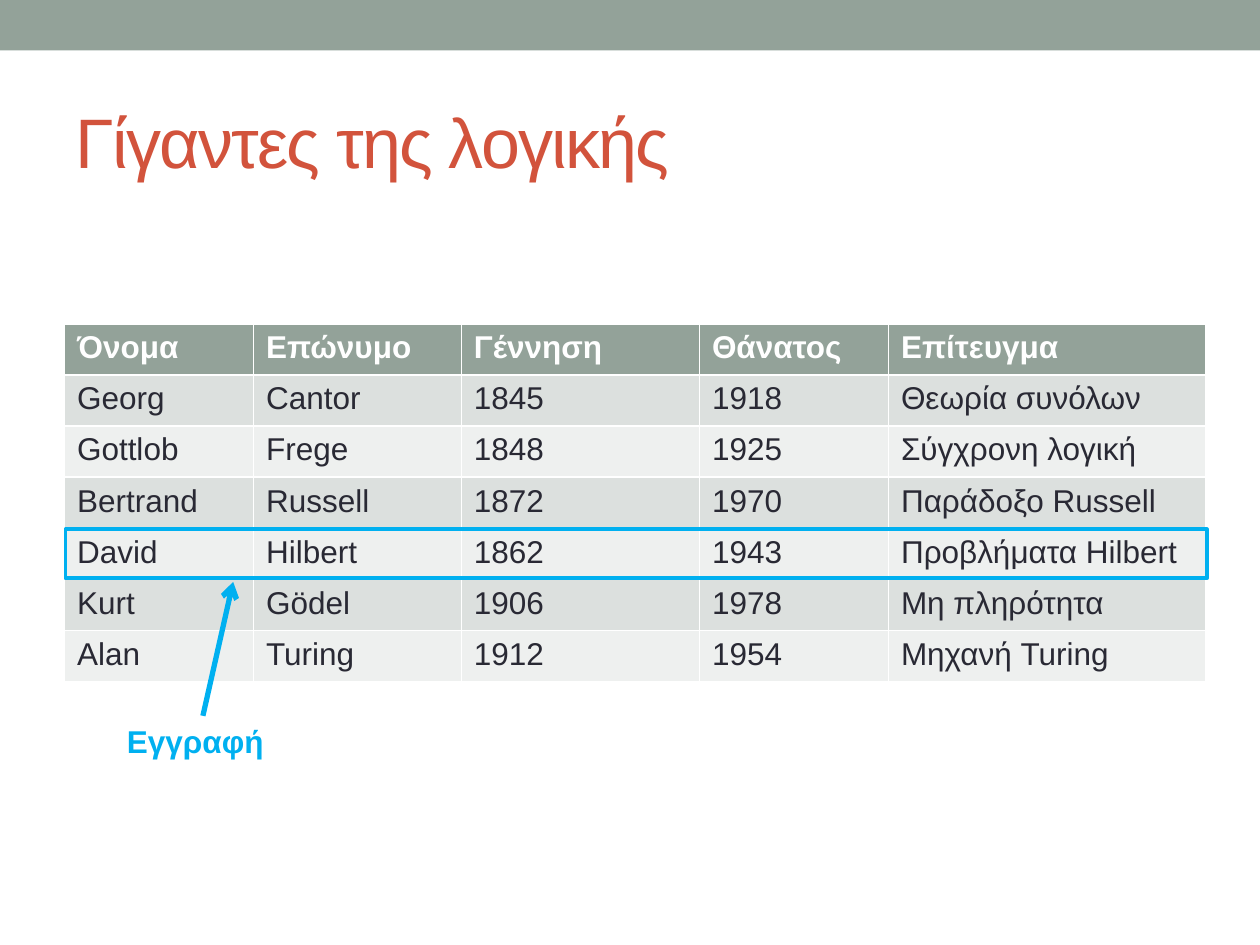
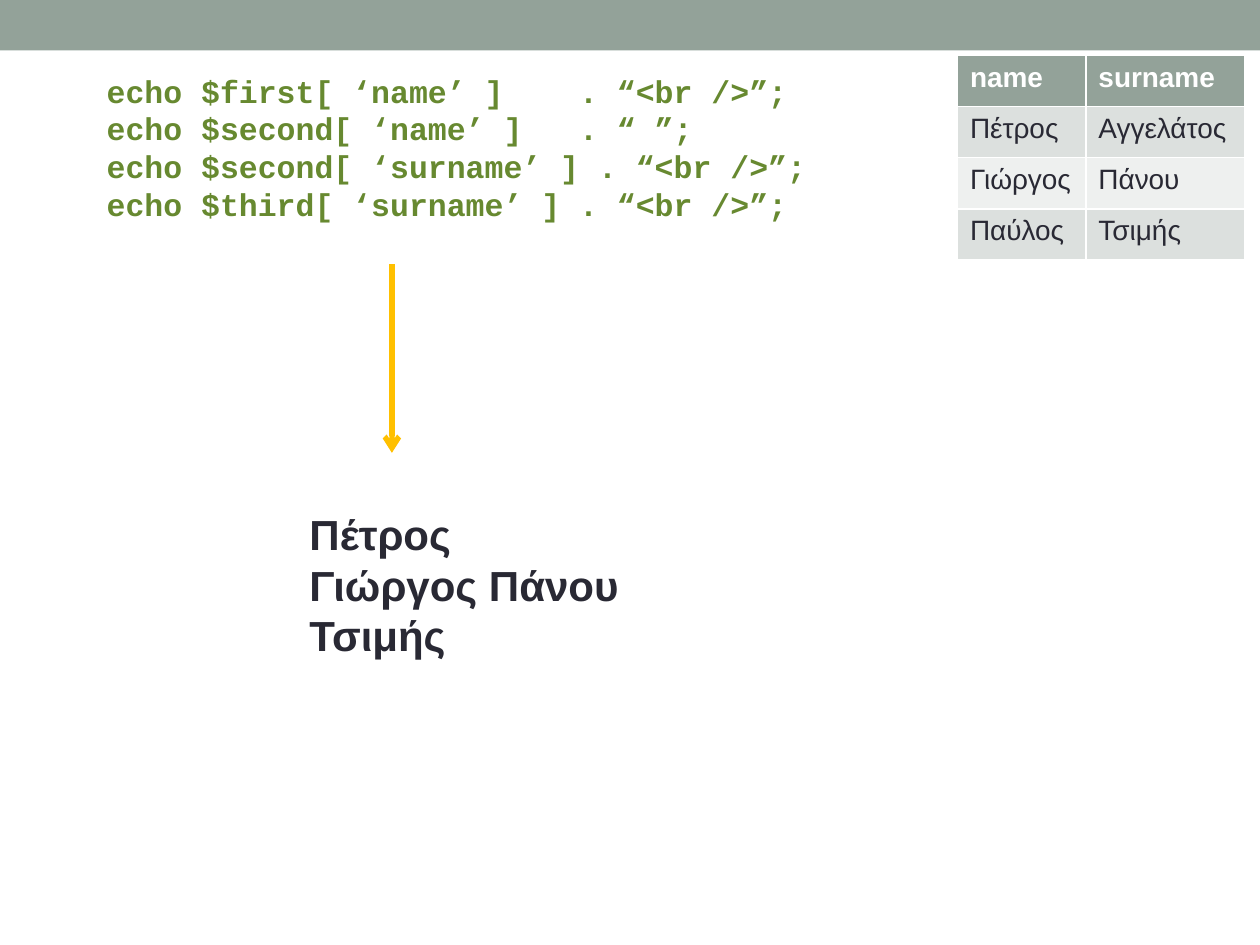
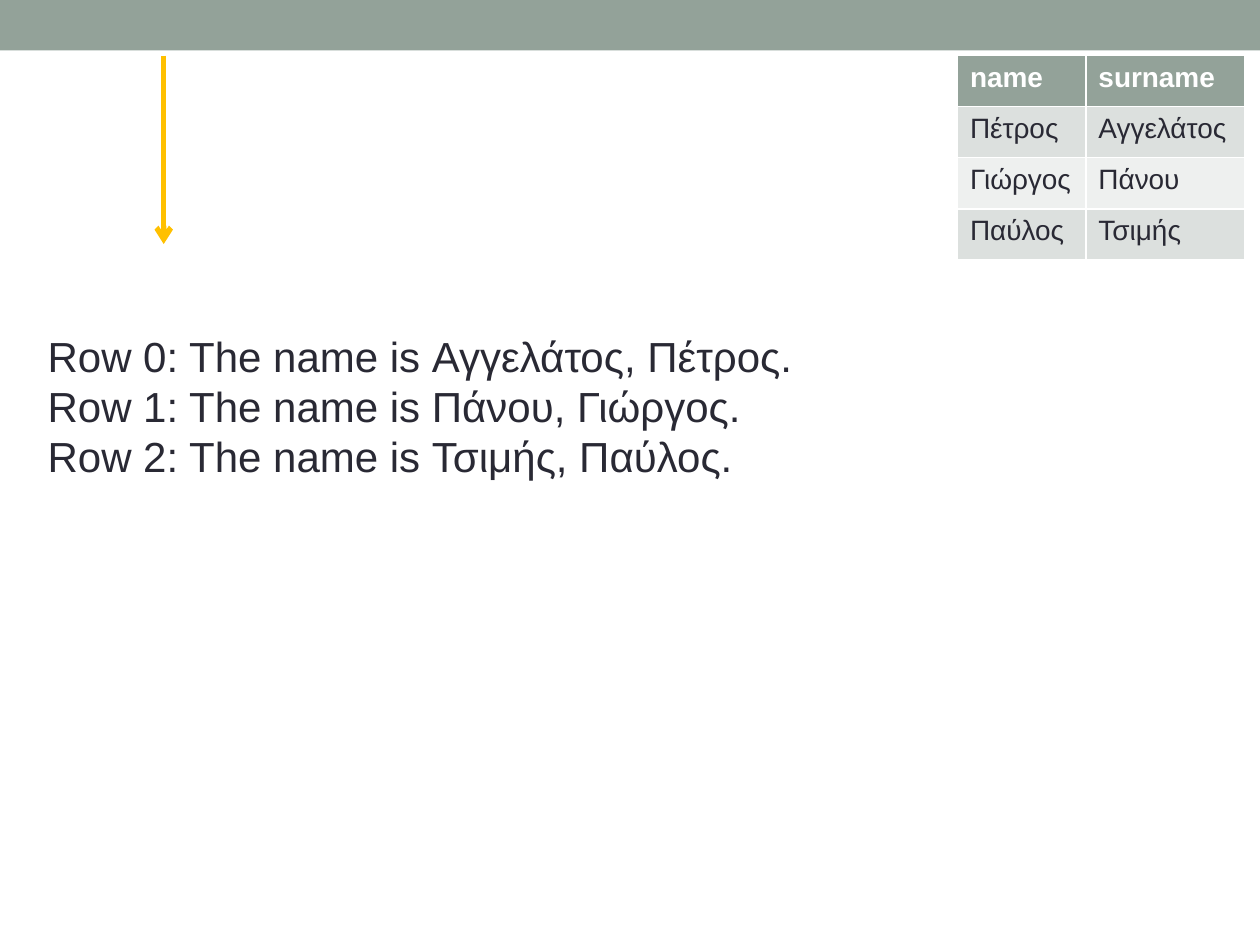
from dataclasses import dataclass

from lxml import etree
from pptx import Presentation
from pptx import util as u
from pptx.dml.color import RGBColor
from pptx.enum import shapes, text
from pptx.oxml import ns

Cm, Pt = u.Cm, u.Pt


@dataclass(frozen=True)
class Theme:
    band: str = "93A299"
    odd_row: str = "DCE0DE"
    even_row: str = "EEF0EF"
    paper: str = "FFFFFF"
    ink: str = "292934"
    heading: str = "D2533C"
    record: str = "00B0F0"
    flow: str = "FFC000"
    code: str = "678930"
    sans: str = "Arial"
    mono: str = "Courier New"
    title_size: int = 40
    output_size: int = 24
    text_size: int = 18
    small_size: int = 16
    title_spacing: int = -100
    arrow_width: float = 3
    frame_width: float = 2.08


THEME = Theme()
ROW_HEIGHT = 1.03
BAND_HEIGHT = 1.02
STUDENTS_CORNER = (19.3, 1.12)

LOGICIANS = [
    ("Όνομα", "Επώνυμο", "Γέννηση", "Θάνατος", "Επίτευγμα"),
    ("Georg", "Cantor", "1845", "1918", "Θεωρία συνόλων"),
    ("Gottlob", "Frege", "1848", "1925", "Σύγχρονη λογική"),
    ("Bertrand", "Russell", "1872", "1970", "Παράδοξο Russell"),
    ("David", "Hilbert", "1862", "1943", "Προβλήματα Hilbert"),
    ("Kurt", "Gödel", "1906", "1978", "Μη πληρότητα"),
    ("Alan", "Turing", "1912", "1954", "Μηχανή Turing"),
]
STUDENTS = [
    ("name", "surname"),
    ("Πέτρος", "Αγγελάτος"),
    ("Γιώργος", "Πάνου"),
    ("Παύλος", "Τσιμής"),
]
ECHO_CODE = [
    "echo $first[ ‘name’ ]    . “<br />”;",
    "echo $second[ ‘name’ ]   . “ ”;",
    "echo $second[ ‘surname’ ] . “<br />”;",
    "echo $third[ ‘surname’ ] . “<br />”;",
]
ECHO_OUTPUT = ["Πέτρος", "Γιώργος Πάνου", "Τσιμής"]
ROW_OUTPUT = [
    f"Row {index}: The name is {surname}, {name}."
    for index, (name, surname) in enumerate(STUDENTS[1:])
]


def rgb(value):
    return RGBColor.from_string(value)


def style(paragraph, size, color, bold=False, face=THEME.sans):
    font = paragraph.font
    font.size, font.bold, font.name = Pt(size), bold, face
    font.color.rgb = rgb(color)


def place(part, left, top, width, height):
    part.left, part.top = Cm(left), Cm(top)
    part.width, part.height = Cm(width), Cm(height)


def add_band(prs, slide):
    band = slide.shapes.add_shape(
        shapes.MSO_SHAPE.RECTANGLE, 0, 0, prs.slide_width, Cm(BAND_HEIGHT))
    band.shadow.inherit = False
    band.fill.solid()
    band.fill.fore_color.rgb = rgb(THEME.band)
    band.line.fill.background()
    band.element.nvSpPr.cNvPr.set("id", "20")
    prs.slide_master.element.cSld.spTree.insert(2, band.element)


def add_title(slide, box, wording):
    title = slide.shapes.title
    place(title, *box)
    frame = title.text_frame
    frame.text = wording
    frame.vertical_anchor = text.MSO_ANCHOR.MIDDLE
    heading = frame.paragraphs[0]
    heading.alignment = text.PP_ALIGN.LEFT
    style(heading, THEME.title_size, THEME.heading)
    letters = heading.runs[0]._r.get_or_add_rPr()
    letters.set("spc", str(THEME.title_spacing))


def add_lines(slide, box, lines, size, color, bold=False, face=THEME.sans):
    left, top, width, height = box
    frame = slide.shapes.add_textbox(
        Cm(left), Cm(top), Cm(width), Cm(height)).text_frame
    frame.word_wrap = True
    frame.text = "\n".join(lines)
    for paragraph in frame.paragraphs:
        style(paragraph, size, color, bold, face)


def add_arrow(slide, start, end, color):
    arrow = slide.shapes.add_connector(
        shapes.MSO_CONNECTOR.STRAIGHT, *(Cm(value) for value in start + end))
    arrow.line.color.rgb = rgb(color)
    arrow.line.width = Pt(THEME.arrow_width)
    outline = arrow.element.spPr.find(ns.qn("a:ln"))
    etree.SubElement(outline, ns.qn("a:tailEnd"), type="arrow")
    etree.SubElement(arrow.element.spPr, ns.qn("a:effectLst"))


def add_records(slide, corner, widths, records, size):
    left, top = corner
    table = slide.shapes.add_table(
        len(records), len(widths), Cm(left), Cm(top),
        Cm(sum(widths)), Cm(ROW_HEIGHT * len(records))).table
    for column, width in zip(table.columns, widths):
        column.width = Cm(width)
    for index, (row, record) in enumerate(zip(table.rows, records)):
        header = index == 0
        row.height = Cm(ROW_HEIGHT)
        stripe = THEME.odd_row if index % 2 else THEME.even_row
        for cell, value in zip(row.cells, record):
            cell.text = value
            cell.fill.solid()
            cell.fill.fore_color.rgb = rgb(THEME.band if header else stripe)
            style(cell.text_frame.paragraphs[0], size,
                  THEME.paper if header else THEME.ink, header)


def add_record_frame(slide, corner, width, index):
    left, top = corner
    frame = slide.shapes.add_shape(
        shapes.MSO_SHAPE.RECTANGLE, Cm(left + 0.02),
        Cm(top + index * ROW_HEIGHT + 0.02), Cm(width), Cm(ROW_HEIGHT - 0.04))
    frame.shadow.inherit = False
    frame.fill.background()
    frame.line.color.rgb = rgb(THEME.record)
    frame.line.width = Pt(THEME.frame_width)


def add_students(slide):
    add_records(slide, STUDENTS_CORNER, (2.59, 3.2), STUDENTS,
                THEME.small_size)


def add_flow(slide, left, top, length=3.8):
    add_arrow(slide, (left, top), (left, top + length), THEME.flow)


def build_logicians(slide):
    corner, widths = (1.3, 6.53), (3.81, 4.19, 4.8, 3.81, 6.4)
    add_title(slide, (1.27, 1.47, 22.86, 2.74), "Γίγαντες της λογικής")
    add_records(slide, corner, widths, LOGICIANS, THEME.text_size)
    add_record_frame(slide, corner, sum(widths), 4)
    add_arrow(slide, (4.09, 14.43), (4.7, 11.73), THEME.record)
    add_lines(slide, (2.31, 14.43, 6.6, 1.02), ["Εγγραφή"],
              THEME.text_size, THEME.record, True)


def build_echo(slide):
    add_students(slide)
    add_flow(slide, 7.9, 5.33)
    add_lines(slide, (5.99, 10.13, 7.06, 3.33), ECHO_OUTPUT,
              THEME.output_size, THEME.ink, True)
    add_lines(slide, (1.9, 1.32, 17.2, 4.88), ECHO_CODE,
              THEME.text_size, THEME.code, True, THEME.mono)


def build_rows(slide):
    add_students(slide)
    add_flow(slide, 3.3, 1.12)
    add_lines(slide, (0.71, 6.53, 24.21, 5.38), ROW_OUTPUT,
              THEME.output_size, THEME.ink)


prs = Presentation()
prs.slide_width, prs.slide_height = Cm(25.4), Cm(19.05)
title_only, blank = prs.slide_layouts[5], prs.slide_layouts[6]
logicians, echo, rows = (
    prs.slides.add_slide(layout) for layout in (title_only, blank, blank))
add_band(prs, logicians)
build_logicians(logicians)
build_echo(echo)
build_rows(rows)
prs.save("out.pptx")
